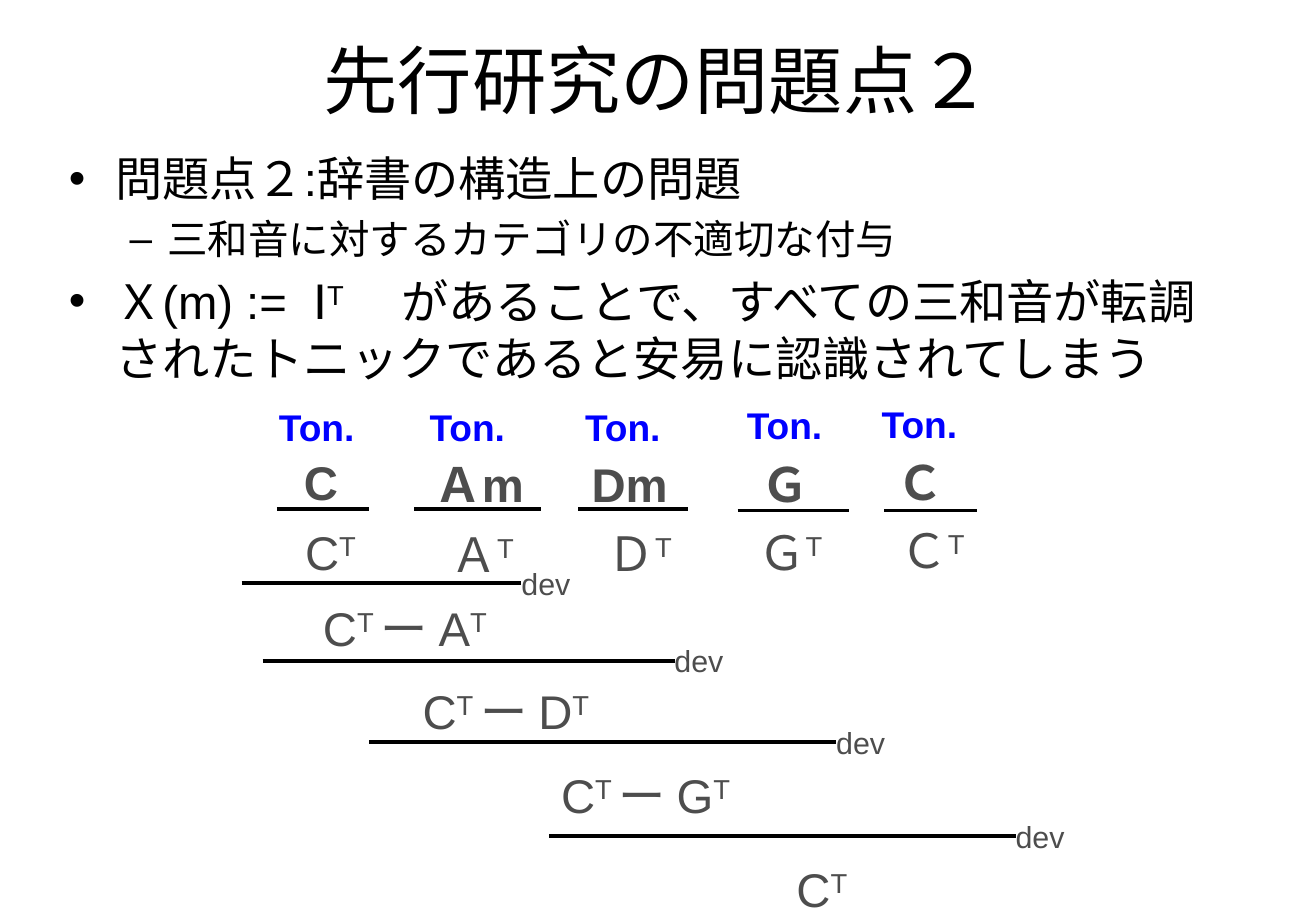
from lxml import etree
from pptx import Presentation
from pptx.dml.color import RGBColor
from pptx.enum.shapes import MSO_CONNECTOR
from pptx.enum.text import MSO_ANCHOR, PP_ALIGN
from pptx.oxml.ns import qn
from pptx.util import Cm, Pt

LEFT, CENTER = PP_ALIGN.LEFT, PP_ALIGN.CENTER
TOP, MIDDLE = MSO_ANCHOR.TOP, MSO_ANCHOR.MIDDLE
STRAIGHT = MSO_CONNECTOR.STRAIGHT

BLACK, GREY, BLUE = "000000", "4D4D4D", "0000FF"
SUP = {"baseline": 30000}


def color(code):
    return RGBColor.from_string(code)


class Page:
    font = "Arial"
    ink = BLACK
    rule = 2

    def __init__(self, deck):
        self.slide = deck.slides.add_slide(deck.slide_layouts[6])

    def box(self, left, top, width, height, anchor=TOP):
        shape = self.slide.shapes.add_textbox(
            Cm(left), Cm(top), Cm(width), Cm(height))
        frame = shape.text_frame
        frame.word_wrap = True
        frame.vertical_anchor = anchor
        return frame

    def put(self, para, runs, size, ink=None, bold=False, font=None):
        style = {"size": Pt(size), "bold": bold, "name": font or self.font}
        for text, marks in runs:
            run = para.add_run()
            run.text = text
            for key, value in style.items():
                setattr(run.font, key, value)
            run.font.color.rgb = color(ink or self.ink)
            for key, value in marks.items():
                run._r.get_or_add_rPr().set(key, str(value))

    def label(self, place, runs, size=28, ink=GREY, bold=False, align=CENTER):
        para = self.box(*place).paragraphs[0]
        para.alignment = align
        para.line_spacing = 1.4
        self.put(para, runs, size, ink, bold)

    def title(self, place, text):
        para = self.box(*place, MIDDLE).paragraphs[0]
        para.alignment = CENTER
        self.put(para, [(text, {})], 44, font="Calibri")

    def points(self, place, items):
        frame = self.box(*place)
        for pos, (mark, left, hang, size, runs) in enumerate(items):
            para = frame.add_paragraph() if pos else frame.paragraphs[0]
            props = para._p.get_or_add_pPr()
            props.set("marL", str(Cm(left)))
            props.set("indent", str(-Cm(hang)))
            face = etree.SubElement(props, qn("a:buFont"))
            face.set("typeface", self.font)
            etree.SubElement(props, qn("a:buChar")).set("char", mark)
            if pos:
                para.space_before = Pt(size * 0.2)
            self.put(para, runs, size)

    def line(self, start, end, top):
        link = self.slide.shapes.add_connector(
            STRAIGHT, Cm(start), Cm(top), Cm(end), Cm(top))
        link.line.color.rgb = color(self.ink)
        link.line.width = Pt(self.rule)
        etree.SubElement(link._element.spPr, qn("a:effectLst"))


ITEMS = [
    ("•", 0.97, 0.97, 28, [("問題点２:辞書の構造上の問題", {})]),
    ("–", 2.06, 0.79, 24, [("三和音に対するカテゴリの不適切な付与", {})]),
    ("•", 0.97, 0.97, 28, [
        ("Ｘ(m) :=", {}),
        (" ", {"spc": 780}),
        ("Ⅰ", {}),
        ("T　", {**SUP, "spc": 900}),
        ("があることで、すべての三和音が転調されたトニックであると安易に認識されてしまう", {}),
    ]),
]

CHORDS = [
    ("C", (5.21, 7.95), (5.54, 8.89, 2.34), (5.79, 7.72, 10.64),
     "C", (6.02, 10.34, 1.78)),
    ("Ａm", (8.36, 7.95), (8.56, 8.92, 2.92), (8.66, 11.3, 10.64),
     "Ａ", (8.97, 10.39, 2.21)),
    ("Dm", (11.61, 7.95), (11.99, 8.92, 2.34), (12.09, 14.38, 10.64),
     "Ｄ", (12.27, 10.36, 2.21)),
    ("Ｇ", (14.99, 7.92), (15.24, 8.92, 2.34), (15.42, 17.75, 10.67),
     "Ｇ", (15.42, 10.34, 2.21)),
    ("Ｃ", (17.81, 7.9), (18.06, 8.89, 2.34), (18.49, 20.42, 10.67),
     "Ｃ", (18.39, 10.31, 2.21)),
]

STEPS = [
    (5.05, 10.9, 12.19, "A", 5.99, 11.94),
    (5.49, 14.1, 13.82, "D", 8.1, 13.67),
    (7.72, 17.48, 15.52, "G", 11.02, 15.42),
    (11.48, 21.23, 17.48, None, 14.78, 17.4),
]


def main():
    deck = Presentation()
    deck.slide_width, deck.slide_height = Cm(27.51), Cm(19.05)
    page = Page(deck)
    page.points((1.19, 3, 24.77, 12.52), ITEMS)

    for chord, tag, name, bar, root, cat in CHORDS:
        page.label((*tag, 2.82, 1.5), [("Ton.", {})], 22, BLUE, True)
        page.label((*name, 1.85), [(chord, {})], bold=True)
        page.line(*bar)
        page.label((*cat, 1.85), [(root, {}), ("T", SUP)])

    for start, end, top, root, left, base in STEPS:
        page.line(start, end, top)
        page.label((end - 0.25, top - 0.81, 1.57, 1.27), [("dev", {})],
                   18, align=LEFT)
        runs = [("C", {}), ("T ", SUP)]
        if root:
            runs += [("ー " + root, {}), ("T", SUP)]
        page.label((left, base, 4.95, 1.85), runs)

    page.title((1.37, 0.05, 24.77, 3.18), "先行研究の問題点２")
    deck.save("out.pptx")


if __name__ == "__main__":
    main()
